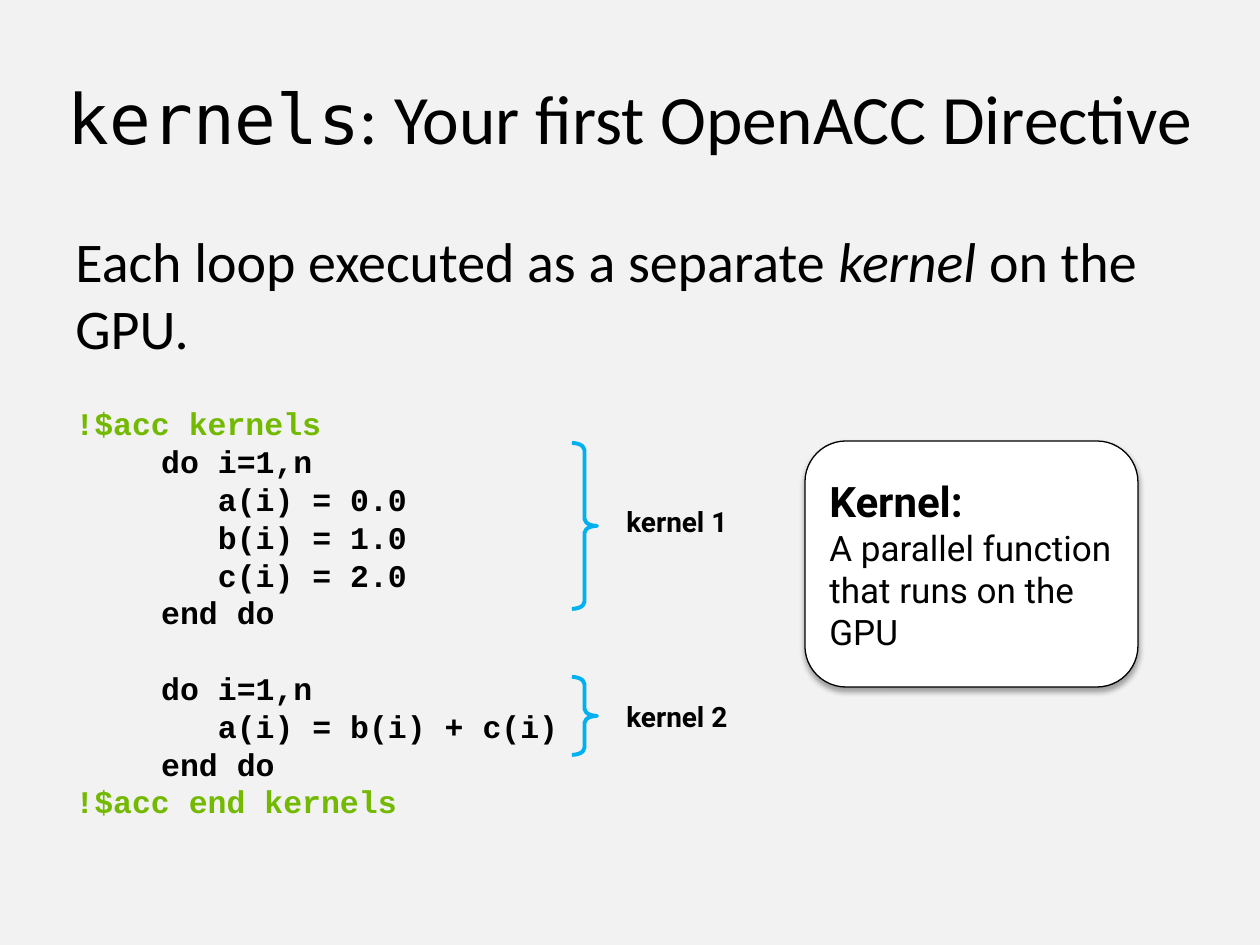
from dataclasses import dataclass

import lxml.etree
import pptx
import pptx.dml.color
import pptx.enum.shapes
import pptx.enum.text
import pptx.oxml
import pptx.oxml.ns
import pptx.util

EMU_PER_PX = 914400 // 126


@dataclass(frozen=True)
class Theme:
    background: str = "F2F2F2"
    text: str = "000000"
    directive: str = "73B900"
    brace: str = "00B0F0"
    card: str = "FFFFFF"
    body_font: str = "Calibri"
    mono_font: str = "DejaVu Sans Mono"
    code_font: str = "Courier New"
    label_font: str = "Roboto"
    title_size: float = 39.6
    body_size: int = 32
    code_size: int = 18
    code_pitch: float = 21.6
    label_size: int = 16
    card_heading_size: int = 24
    card_size: int = 20


THEME = Theme()

CODE_LINES = (
    "!$acc kernels",
    "  do i=1,n",
    "     a(i) = 0.0",
    "     b(i) = 1.0",
    "     c(i) = 2.0",
    "  end do",
    "  do i=1,n",
    "     a(i) = b(i) + c(i)",
    "  end do",
    "!$acc end kernels",
)
SECOND_LOOP = 6
CODE_INDENT = 48

# Name, brace top, brace height, label top
KERNELS = (
    ("kernel 1", 443, 166, 498),
    ("kernel 2", 677, 78, 693),
)


def px(length):
    return pptx.util.Emu(length * EMU_PER_PX)


def color(value):
    return pptx.dml.color.RGBColor.from_string(value)


def add_run(paragraph, text, font, size, fill=THEME.text, bold=False, italic=False):
    run = paragraph.add_run()
    run.text = text
    run.font.name = font
    run.font.size = pptx.util.Pt(size)
    run.font.color.rgb = color(fill)
    run.font.bold = bold
    run.font.italic = italic


def add_text_frame(slide, left, top, width, height):
    box = slide.shapes.add_textbox(px(left), px(top), px(width), px(height))
    box.text_frame.word_wrap = True
    return box.text_frame


def add_title(slide):
    frame = add_text_frame(slide, 42, 38, 1176, 157)
    frame.vertical_anchor = pptx.enum.text.MSO_ANCHOR.MIDDLE
    paragraph = frame.paragraphs[0]
    paragraph.alignment = pptx.enum.text.PP_ALIGN.CENTER
    add_run(paragraph, "kernels", THEME.mono_font, THEME.title_size)
    add_run(paragraph, ": Your first OpenACC Directive", THEME.body_font, THEME.title_size)


def add_code_line(frame, text, space_before):
    paragraph = frame.add_paragraph()
    paragraph.line_spacing = pptx.util.Pt(THEME.code_pitch)
    paragraph.space_before = pptx.util.Pt(space_before)
    is_directive = text.startswith("!$")
    if not is_directive:
        properties = paragraph._p.get_or_add_pPr()
        properties.set("marL", str(px(CODE_INDENT)))
        properties.set("indent", "0")
    fill = THEME.directive if is_directive else THEME.text
    add_run(paragraph, text, THEME.code_font, THEME.code_size, fill, bold=True)


def add_body(slide):
    frame = add_text_frame(slide, 63, 220, 1134, 624)
    sentence = frame.paragraphs[0]
    for text, italic in (
        ("Each loop executed as a separate ", False),
        ("kernel ", True),
        ("on the GPU.", False),
    ):
        add_run(sentence, text, THEME.body_font, THEME.body_size, italic=italic)
    gaps = {0: 25, SECOND_LOOP: THEME.code_pitch}
    for index, text in enumerate(CODE_LINES):
        add_code_line(frame, text, gaps.get(index, 0))


def add_kernel_marker(slide, name, brace_top, brace_height, label_top):
    brace = slide.shapes.add_shape(
        pptx.enum.shapes.MSO_SHAPE.RIGHT_BRACE,
        px(572), px(brace_top), px(25), px(brace_height),
    )
    brace.shadow.inherit = False
    brace.adjustments[0] = 0.28
    brace.fill.background()
    brace.line.color.rgb = color(THEME.brace)
    brace.line.width = pptx.util.Pt(2.25)
    frame = add_text_frame(slide, 614, label_top, 141, 47)
    add_run(frame.paragraphs[0], name, THEME.label_font, THEME.label_size, bold=True)


def add_soft_shadow(shape):
    shape.shadow.inherit = False
    effects = shape._element.spPr.find(pptx.oxml.ns.qn("a:effectLst"))
    shadow = lxml.etree.SubElement(
        effects, pptx.oxml.ns.qn("a:outerShdw"),
        blurRad=str(pptx.util.Pt(3.1)), dist=str(pptx.util.Pt(1.8)),
        dir="5400000", rotWithShape="0",
    )
    shade = lxml.etree.SubElement(shadow, pptx.oxml.ns.qn("a:srgbClr"), val=THEME.text)
    lxml.etree.SubElement(shade, pptx.oxml.ns.qn("a:alpha"), val="35000")


def add_definition_card(slide):
    card = slide.shapes.add_shape(
        pptx.enum.shapes.MSO_SHAPE.ROUNDED_RECTANGLE, px(805), px(441), px(333), px(246),
    )
    card.fill.solid()
    card.fill.fore_color.rgb = color(THEME.card)
    card.line.color.rgb = color(THEME.text)
    card.line.width = pptx.util.Pt(0.75)
    add_soft_shadow(card)
    frame = card.text_frame
    frame.word_wrap = True
    frame.margin_right = px(8)
    frame.vertical_anchor = pptx.enum.text.MSO_ANCHOR.MIDDLE
    heading = frame.paragraphs[0]
    definition = frame.add_paragraph()
    for paragraph in (heading, definition):
        paragraph.alignment = pptx.enum.text.PP_ALIGN.LEFT
    add_run(heading, "Kernel:", THEME.label_font, THEME.card_heading_size, bold=True)
    add_run(
        definition, "A parallel function that runs on the GPU",
        THEME.label_font, THEME.card_size,
    )


def main():
    presentation = pptx.Presentation()
    presentation.slide_width = px(1260)
    presentation.slide_height = px(945)
    slide = presentation.slides.add_slide(presentation.slide_layouts[6])
    slide.background.fill.solid()
    slide.background.fill.fore_color.rgb = color(THEME.background)
    add_title(slide)
    add_body(slide)
    for kernel in KERNELS:
        add_kernel_marker(slide, *kernel)
    add_definition_card(slide)
    presentation.save("out.pptx")


if __name__ == "__main__":
    main()
